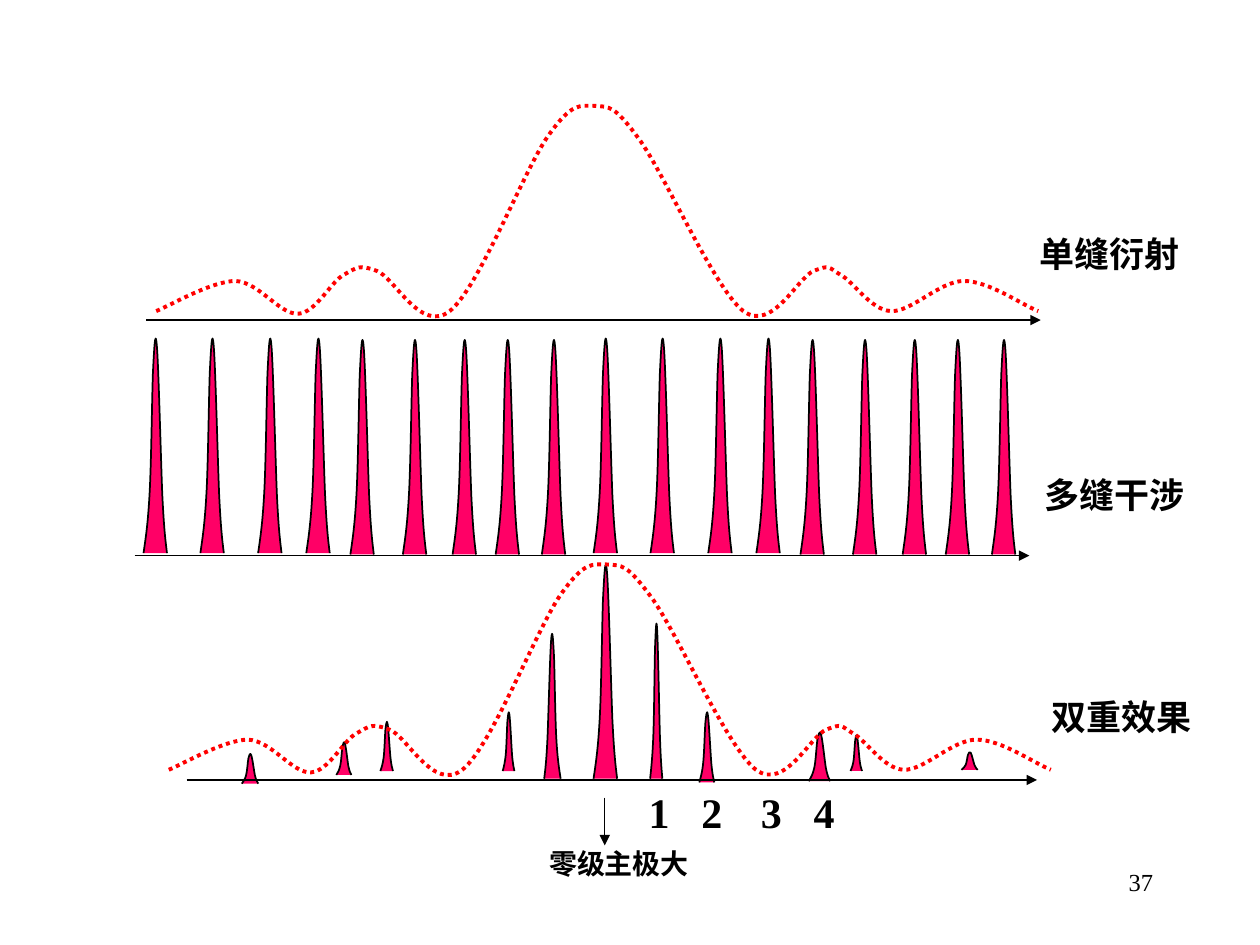
"""Build the slide on single-slit diffraction combined with multi-slit interference."""
from lxml import etree
from pptx import Presentation
from pptx.dml.color import RGBColor
from pptx.enum.dml import MSO_LINE
from pptx.enum.shapes import MSO_CONNECTOR
from pptx.enum.text import PP_ALIGN
from pptx.oxml.ns import qn
from pptx.util import Pt

DOTTED = MSO_LINE.ROUND_DOT
STRAIGHT = MSO_CONNECTOR.STRAIGHT
LEFT, RIGHT = PP_ALIGN.LEFT, PP_ALIGN.RIGHT
FONT = "Times New Roman"
COLORS = {"ink": "000000", "envelope": "FF0000", "peak": "FF0066"}

PEAK_PROFILE = [
    (0, 0), (0.1, 0.07), (0.19, 0.13), (0.26, 0.26),
    (0.33, 0.39), (0.36, 0.67), (0.4, 0.79),
    (0.45, 0.89), (0.5, 1), (0.57, 0.91),
    (0.64, 0.83), (0.74, 0.41), (0.8, 0.26),
    (0.87, 0.11), (0.93, 0.06), (1, 0),
]
ENVELOPE = [
    (89.3, 177.8), (96.5, 175), (121, 160.6), (134.6, 160.6),
    (148.3, 161.3), (159.8, 180), (170.6, 179.3),
    (180.7, 178.6), (189.4, 160.6), (196.6, 157),
    (204.5, 152.6), (205.2, 151.2), (215.3, 154.8),
    (225.4, 158.4), (240.5, 190.8), (257, 177.8),
    (273.6, 164.9), (299.5, 97.2), (313.2, 77.8),
    (326.9, 58.3), (331.2, 60.5), (339.8, 60.5),
    (348.5, 61.2), (350.6, 59.8), (365, 79.2),
    (379.4, 98.6), (408.2, 164.9), (424.8, 177.8),
    (441.4, 190.1), (455.8, 158.4), (465.1, 154.8),
    (474.5, 151.2), (473, 152.6), (480.2, 157),
    (487.4, 160.6), (497.5, 177.1), (509, 177.8),
    (520.6, 178.6), (537.1, 160.6), (550.8, 160.6),
    (565.2, 160.6), (583.9, 174.2), (593.3, 177.8),
]

prs = Presentation()
prs.slide_width, prs.slide_height = Pt(720), Pt(540)
slide = prs.slides.add_slide(prs.slide_layouts[6])


def draw_curve(controls, color, weight):
    """Draw an open outline along a chain of cubic Bézier segments."""
    (x, y), *rest = [(Pt(px), Pt(py)) for px, py in controls]
    builder = slide.shapes.build_freeform(x, y)
    builder.add_line_segments(rest, close=False)
    curve = builder.convert_to_shape()
    corners = list(curve._element.iter(qn("a:lnTo")))
    for first in range(0, len(corners), 3):
        bezier = etree.Element(qn("a:cubicBezTo"))
        corners[first].addprevious(bezier)
        for corner in corners[first:first + 3]:
            bezier.append(corner[0])
            corner.getparent().remove(corner)
    curve.shadow.inherit = False
    curve.fill.background()
    curve.line.color.rgb = RGBColor.from_string(COLORS[color])
    curve.line.width = Pt(weight)
    return curve


combined_peaks = [
    (339.2, 445, 13.5, 129.6), (320.4, 445, -9.4, 87.8), (371.5, 445, 7, 94),
    (399.6, 447.1, 8.6, 42.5), (287.3, 440.6, 6.7, 35.6),
    (462.2, 446.4, 12.2, 29.5), (486, 440.6, 6.6, 21.6),
    (217.4, 440.6, 7.2, 29.8), (192.2, 442.8, 8.6, 19.8),
    (549.4, 439.9, 9.3, 10.8), (138.2, 447.8, 9.4, 18),
]
half_pattern = [82, 114.5, 147.5, 175, 200.2, 230.2, 258.6, 283.2, 309.6]
multi_slit_peaks = [
    (left + shift, 316.1 if order < 4 else 316.9, 13.4, 130)
    for shift in (0, 257.2) for order, left in enumerate(half_pattern)
]
for left, base, width, height in combined_peaks + multi_slit_peaks:
    outline = [(left + x * width, base - y * height) for x, y in PEAK_PROFILE]
    peak = draw_curve(outline, "ink", 1)
    peak.fill.solid()
    peak.fill.fore_color.rgb = RGBColor.from_string(COLORS["peak"])

for dx, dy in [(0, 0), (7.2, 262.1)]:
    envelope = draw_curve([(x + dx, y + dy) for x, y in ENVELOPE], "envelope", 2.25)
    envelope.line.dash_style = DOTTED

arrows = [
    (83.5, 182.9, 594.7, 182.9, 1),
    (77, 317.5, 588.2, 317.5, 1),
    (106.6, 445.7, 592.6, 445.7, 1),
    (345.6, 455.8, 345.6, 483.1, 0.75),
]
for x1, y1, x2, y2, weight in arrows:
    arrow = slide.shapes.add_connector(STRAIGHT, Pt(x1), Pt(y1), Pt(x2), Pt(y2))
    arrow.line.color.rgb = RGBColor.from_string(COLORS["ink"])
    arrow.line.width = Pt(weight)
    etree.SubElement(arrow.line._get_or_add_ln(), qn("a:tailEnd"), type="triangle")
    etree.SubElement(arrow._element.spPr, qn("a:effectLst"))

labels = [
    ("单缝衍射", 586.8, 129.6, 105.1, 31.7, 20, True, LEFT),
    ("多缝干涉", 589.7, 267.1, 105.1, 31.7, 20, True, LEFT),
    ("双重效果", 594, 393.8, 105.1, 31.7, 20, True, LEFT),
    ("零级主极大", 306.7, 480.2, 101.5, 26.6, 16, True, LEFT),
    ("37", 516.2, 491.8, 149.8, 36, 14, False, RIGHT),
]
for order, left in enumerate([363.6, 393.8, 427.7, 457.9], start=1):
    labels.append((str(order), left, 445.7, 21.6, 36, 24, True, LEFT))
for text, left, top, width, height, size, bold, align in labels:
    label = slide.shapes.add_textbox(Pt(left), Pt(top), Pt(width), Pt(height))
    label.text_frame.word_wrap = True
    label.text_frame.text = text
    paragraph = label.text_frame.paragraphs[0]
    paragraph.alignment = align
    font = paragraph.runs[0].font
    font.name, font.size, font.bold = FONT, Pt(size), bold
    font.color.rgb = RGBColor.from_string(COLORS["ink"])

prs.save("out.pptx")
